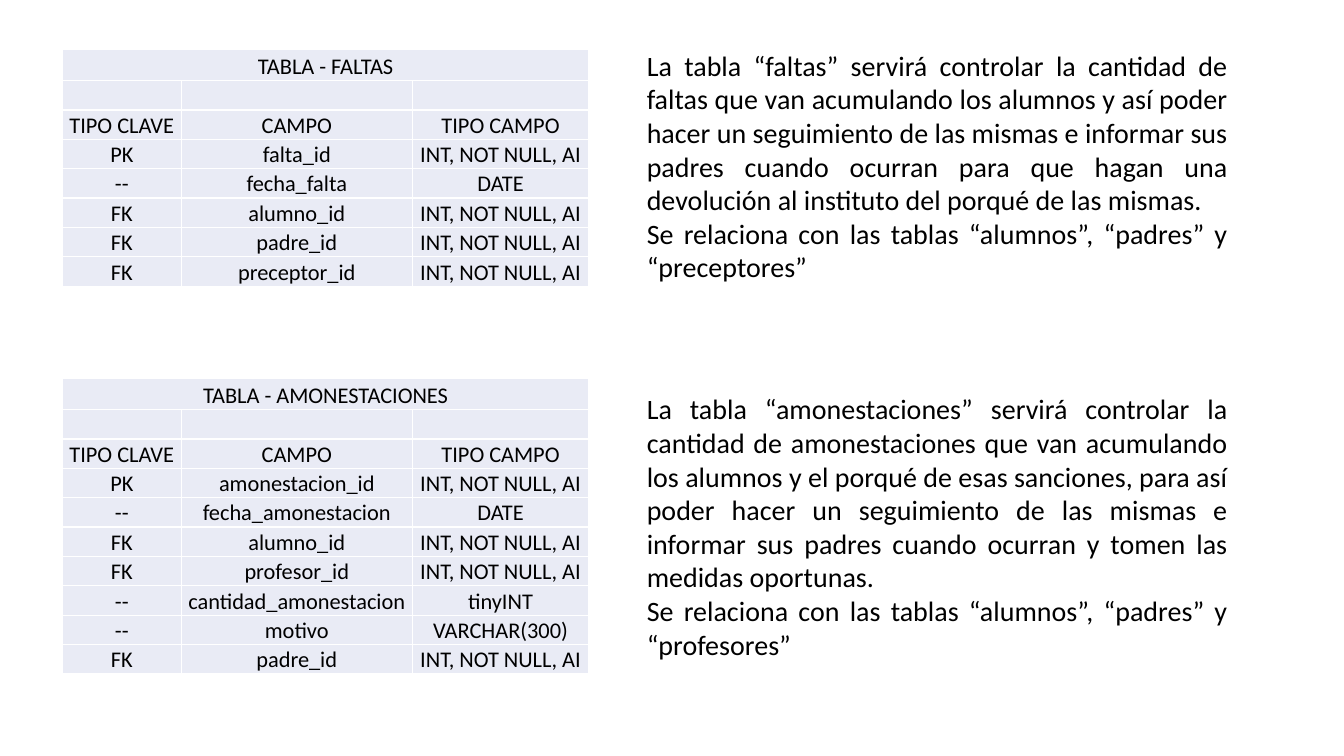
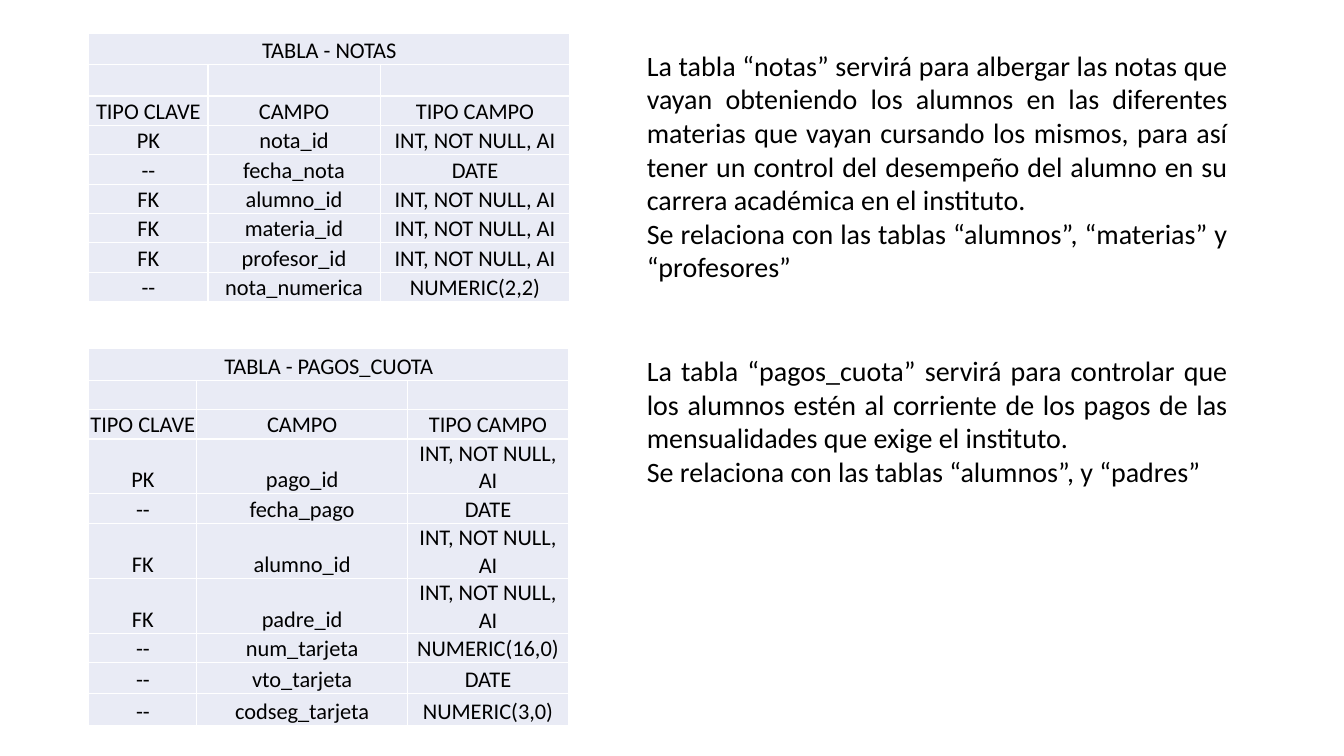
from dataclasses import dataclass

from pptx import Presentation
from pptx.dml.color import RGBColor
from pptx.enum.text import MSO_ANCHOR, MSO_AUTO_SIZE, PP_ALIGN
from pptx.util import Cm, Pt


@dataclass(frozen=True)
class Theme:
    font: str = "Calibri"
    ink: RGBColor = RGBColor(0x00, 0x00, 0x00)
    cell: RGBColor = RGBColor(0xE9, 0xEB, 0xF5)
    cell_size: Pt = Pt(16)
    body_size: Pt = Pt(20)


@dataclass(frozen=True)
class Entity:
    """A database table and its description; lengths are in centimetres."""
    name: str
    fields: list
    description: list
    left: float
    top: float
    widths: tuple
    text_top: float
    text_lines: int
    tall_rows: tuple = (0,)


THEME = Theme()
KEY_TYPE = "INT, NOT NULL, AI"
HEADINGS = ("TIPO CLAVE", "CAMPO", "TIPO CAMPO")
ROW, TALL_ROW = 0.74, 0.79
CELL_INSET = 0.03
TEXT_LEFT, TEXT_WIDTH = 16.05, 15.14
TEXT_LINE, TEXT_PADDING = 0.86, 0.25

SLIDES = [
    [
        Entity(
            "FALTAS",
            [
                ("PK", "falta_id", KEY_TYPE),
                ("--", "fecha_falta", "DATE"),
                ("FK", "alumno_id", KEY_TYPE),
                ("FK", "padre_id", KEY_TYPE),
                ("FK", "preceptor_id", KEY_TYPE),
            ],
            [
                "La tabla “faltas” servirá controlar la cantidad de faltas que van "
                "acumulando los alumnos y así poder hacer un seguimiento de las mismas "
                "e informar sus padres cuando ocurran para que hagan una devolución al "
                "instituto del porqué de las mismas.",
                "Se relaciona con las tablas “alumnos”, “padres” y “preceptores”",
            ],
            left=1.57, top=1.24, widths=(3, 5.82, 4.45), text_top=1.09, text_lines=7,
        ),
        Entity(
            "AMONESTACIONES",
            [
                ("PK", "amonestacion_id", KEY_TYPE),
                ("--", "fecha_amonestacion", "DATE"),
                ("FK", "alumno_id", KEY_TYPE),
                ("FK", "profesor_id", KEY_TYPE),
                ("--", "cantidad_amonestacion", "tinyINT"),
                ("--", "motivo", "VARCHAR(300)"),
                ("FK", "padre_id", KEY_TYPE),
            ],
            [
                "La tabla “amonestaciones” servirá controlar la cantidad de "
                "amonestaciones que van acumulando los alumnos y el porqué de esas "
                "sanciones, para así poder hacer un seguimiento de las mismas e "
                "informar sus padres cuando ocurran y tomen las medidas oportunas.",
                "Se relaciona con las tablas “alumnos”, “padres” y “profesores”",
            ],
            left=1.57, top=9.53, widths=(3, 5.82, 4.45), text_top=9.75, text_lines=8,
        ),
    ],
    [
        Entity(
            "NOTAS",
            [
                ("PK", "nota_id", KEY_TYPE),
                ("--", "fecha_nota", "DATE"),
                ("FK", "alumno_id", KEY_TYPE),
                ("FK", "materia_id", KEY_TYPE),
                ("FK", "profesor_id", KEY_TYPE),
                ("--", "nota_numerica", "NUMERIC(2,2)"),
            ],
            [
                "La tabla “notas” servirá para albergar las notas que vayan obteniendo "
                "los alumnos en las diferentes materias que vayan cursando los mismos, "
                "para así tener un control del desempeño del alumno en su carrera "
                "académica en el instituto.",
                "Se relaciona con las tablas “alumnos”, “materias” y “profesores”",
            ],
            left=2.24, top=0.84, widths=(3, 4.34, 4.78), text_top=1.09, text_lines=7,
            tall_rows=(0, 1),
        ),
        Entity(
            "PAGOS_CUOTA",
            [
                ("PK", "pago_id", KEY_TYPE),
                ("--", "fecha_pago", "DATE"),
                ("FK", "alumno_id", KEY_TYPE),
                ("FK", "padre_id", KEY_TYPE),
                ("--", "num_tarjeta", "NUMERIC(16,0)"),
                ("--", "vto_tarjeta", "DATE"),
                ("--", "codseg_tarjeta", "NUMERIC(3,0)"),
            ],
            [
                "La tabla “pagos_cuota” servirá para controlar que los alumnos estén al "
                "corriente de los pagos de las mensualidades que exige el instituto.",
                "Se relaciona con las tablas “alumnos”, y “padres”",
            ],
            left=2.24, top=8.79, widths=(2.72, 5.31, 4.06), text_top=8.79, text_lines=4,
            tall_rows=(0, 8, 9),
        ),
    ],
]


def style_paragraph(paragraph, size, alignment):
    paragraph.alignment = alignment
    paragraph.font.name = THEME.font
    paragraph.font.size = size
    paragraph.font.color.rgb = THEME.ink


def fill_cell(cell, text):
    cell.fill.solid()
    cell.fill.fore_color.rgb = THEME.cell
    cell.vertical_anchor = MSO_ANCHOR.BOTTOM
    cell.margin_left = cell.margin_right = cell.margin_top = Cm(CELL_INSET)
    cell.margin_bottom = 0
    if text:
        cell.text = text
    style_paragraph(cell.text_frame.paragraphs[0], THEME.cell_size, PP_ALIGN.CENTER)


def add_field_table(slide, entity):
    rows = [(f"TABLA - {entity.name}", "", ""), ("", "", ""), HEADINGS, *entity.fields]
    heights = [TALL_ROW if i in entity.tall_rows else ROW for i in range(len(rows))]
    table = slide.shapes.add_table(
        len(rows), len(HEADINGS), Cm(entity.left), Cm(entity.top),
        Cm(sum(entity.widths)), Cm(sum(heights)),
    ).table
    table.first_row = table.horz_banding = False
    for column, width in zip(table.columns, entity.widths):
        column.width = Cm(width)
    for row, height, texts in zip(table.rows, heights, rows):
        row.height = Cm(height)
        for cell, text in zip(row.cells, texts):
            fill_cell(cell, text)
    table.cell(0, 0).merge(table.cell(0, len(HEADINGS) - 1))


def add_description(slide, entity):
    frame = slide.shapes.add_textbox(
        Cm(TEXT_LEFT), Cm(entity.text_top), Cm(TEXT_WIDTH),
        Cm(TEXT_PADDING + TEXT_LINE * entity.text_lines),
    ).text_frame
    frame.word_wrap = True
    frame.auto_size = MSO_AUTO_SIZE.SHAPE_TO_FIT_TEXT
    frame.text = "\n".join(entity.description)
    for paragraph in frame.paragraphs:
        style_paragraph(paragraph, THEME.body_size, PP_ALIGN.JUSTIFY)


def main():
    presentation = Presentation()
    presentation.slide_width, presentation.slide_height = Cm(33.87), Cm(19.05)
    blank = presentation.slide_layouts[6]
    for entities in SLIDES:
        slide = presentation.slides.add_slide(blank)
        for entity in entities:
            add_field_table(slide, entity)
            add_description(slide, entity)
    presentation.save("out.pptx")


if __name__ == "__main__":
    main()
